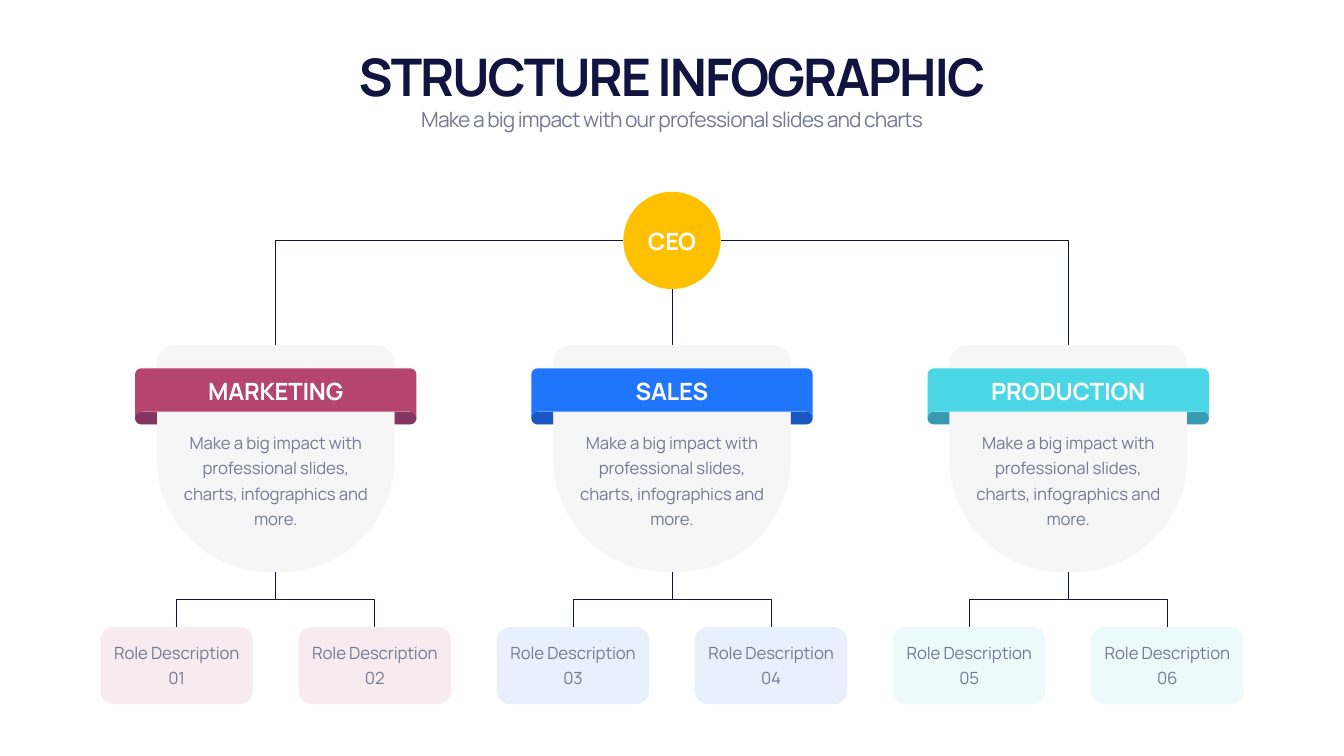
from math import cos, radians, sin

from lxml import etree
from pptx import Presentation
from pptx import util as u
from pptx.dml.color import RGBColor
from pptx.enum import shapes, text
from pptx.oxml.ns import qn

TITLE = "STRUCTURE INFOGRAPHIC"
SUB = "Make a big impact with our professional slides and charts"
HEAD = "CEO"
BODY = "Make a big impact with professional slides, charts, infographics and more."
TEAMS = [
    ("MARKETING", "B5446E", ["Role Description 01", "Role Description 02"]),
    ("SALES", "2075FD", ["Role Description 03", "Role Description 04"]),
    ("PRODUCTION", "4BD6E5", ["Role Description 05", "Role Description 06"]),
]

# A text style is size, colour, bold, letter spacing, line pitch.
THEME = {
    "font": "Manrope",
    "ink": "111340",
    "gold": "FFC000",
    "card": "C3C8CE",
    "title": (74, "111340", True, -2.9, None),
    "sub": (30, "747994", False, -1.2, None),
    "label": (34, "FFFFFF", True, -0.3, None),
    "body": (24, "747994", False, -0.2, 36),
}

W, H = 26.66, 15
MID = W / 2
PITCH = 7.86                        # between teams
STEP = PITCH / 2                    # between roles
HUB, RAD = 4.77, 0.965              # centre and radius of the head circle
TOP, BASE = 6.84, 11.35             # card
BAND, FOLD, TAIL = 7.31, 8.17, 8.42  # ribbon top, its fold, end of its flaps
HALF, CARD = 2.79, 2.36             # half widths of ribbon and card
CURVE = (TAIL - FOLD) / 2
FORK, ROLE = 11.89, 12.44

prs = Presentation()
prs.slide_width, prs.slide_height = u.Inches(W), u.Inches(H)
slide = prs.slides.add_slide(prs.slide_layouts[6])
items = slide.shapes


def paint(shape, color, alpha=100):
    shape.shadow.inherit = False
    shape.fill.solid()
    shape.fill.fore_color.rgb = RGBColor.from_string(color)
    shape.line.fill.background()
    if alpha < 100:
        tone = shape._element.spPr.find(".//" + qn("a:srgbClr"))
        etree.SubElement(tone, qn("a:alpha")).set("val", str(alpha * 1000))


def block(kind, x, y, w, h, color, alpha=100):
    shape = items.add_shape(kind, *map(u.Inches, (x, y, w, h)))
    paint(shape, color, alpha)
    return shape


def outline(dots, close=True):
    dots = [(u.Inches(x), u.Inches(y)) for x, y in dots]
    pen = items.build_freeform(*dots[0])
    pen.add_line_segments(dots[1:], close=close)
    return pen.convert_to_shape()


def arc(x, y, start, end):
    """Points of a ribbon corner round (x, y); angles run clockwise from right."""
    turns = [radians(start + (end - start) * i / 12) for i in range(13)]
    return [(x + CURVE * cos(t), y + CURVE * sin(t)) for t in turns]


def ink(line):
    line.color.rgb = RGBColor.from_string(THEME["ink"])
    line.width = u.Pt(1)


def bend(dots):
    shape = outline(dots, close=False)
    shape.shadow.inherit = False
    shape.fill.background()
    ink(shape.line)


def drop(x, top, end):
    ends = map(u.Inches, (x, top, x, end))
    wire = items.add_connector(shapes.MSO_CONNECTOR.STRAIGHT, *ends)
    etree.SubElement(wire._element.spPr, qn("a:effectLst"))
    ink(wire.line)


def write(words, x, y, w, h, style, anchor="MIDDLE"):
    """Add a text box centred on x."""
    size, color, bold, gap, pitch = THEME[style]
    frame = items.add_textbox(*map(u.Inches, (x - w / 2, y, w, h))).text_frame
    frame.word_wrap = True
    frame.auto_size = text.MSO_AUTO_SIZE.SHAPE_TO_FIT_TEXT
    frame.vertical_anchor = text.MSO_ANCHOR[anchor]
    para = frame.paragraphs[0]
    para.alignment = text.PP_ALIGN.CENTER
    if pitch:
        para.line_spacing = u.Pt(pitch)
    run = para.add_run()
    run.text = words
    font = para.font
    font.name, font.size, font.bold = THEME["font"], u.Pt(size), bold
    font.color.rgb = RGBColor.from_string(color)
    run._r.get_or_add_rPr().set("spc", str(round(gap * 100)))


def ribbon(x, color):
    left, right = x - HALF + CURVE, x + HALF - CURVE
    for side, core in ((-1, left), (1, right)):
        edge = x + side * CARD
        curl = arc(core, FOLD + CURVE, -90, -90 + side * 180)
        flap = [(edge, FOLD), *curl, (edge, TAIL)]
        paint(outline(flap), color)
        paint(outline(flap), THEME["ink"], 30)
    band = (arc(left, BAND + CURVE, 180, 270) + arc(right, BAND + CURVE, 270, 360)
            + arc(right, FOLD + CURVE, 0, -90) + arc(left, FOLD + CURVE, 270, 180))
    paint(outline(band), color)


def team(x, name, color, roles):
    card = block(shapes.MSO_SHAPE.ROUND_2_SAME_RECTANGLE, x - CARD, TOP,
                 2 * CARD, BASE - TOP, THEME["card"], 15)
    card.adjustments[0], card.adjustments[1] = 0.084, 0.5
    ribbon(x, color)
    write(name, x, 7.42, 4.61, 0.67, "label")
    write(BODY, x, 8.44, 4.04, 2.1, "body", "TOP")
    drop(x, BASE, FORK)
    left, right = spots = x - STEP / 2, x + STEP / 2
    bend([(left, ROLE), (left, FORK), (right, FORK), (right, ROLE)])
    for spot, role in zip(spots, roles):
        block(shapes.MSO_SHAPE.ROUNDED_RECTANGLE, spot - 1.51, ROLE,
              3.02, 1.53, color, 10)
        write(role, spot, 12.61, 2.75, 1.09, "body")


write(TITLE, MID, 0.82, 23.33, 1.35, "title", "BOTTOM")
write(SUB, MID, 2.07, 23.33, 0.61, "sub", "TOP")
block(shapes.MSO_SHAPE.OVAL, MID - RAD, HUB - RAD, 2 * RAD, 2 * RAD, THEME["gold"])
write(HEAD, MID, 4.45, 1.82, 0.67, "label")
drop(MID, HUB + RAD, TOP)
for side in (-1, 1):
    far = MID + side * PITCH
    bend([(far, TOP), (far, HUB), (MID + side * RAD, HUB)])
for i, (name, color, roles) in enumerate(TEAMS):
    team(MID + (i - 1) * PITCH, name, color, roles)

prs.save("out.pptx")
